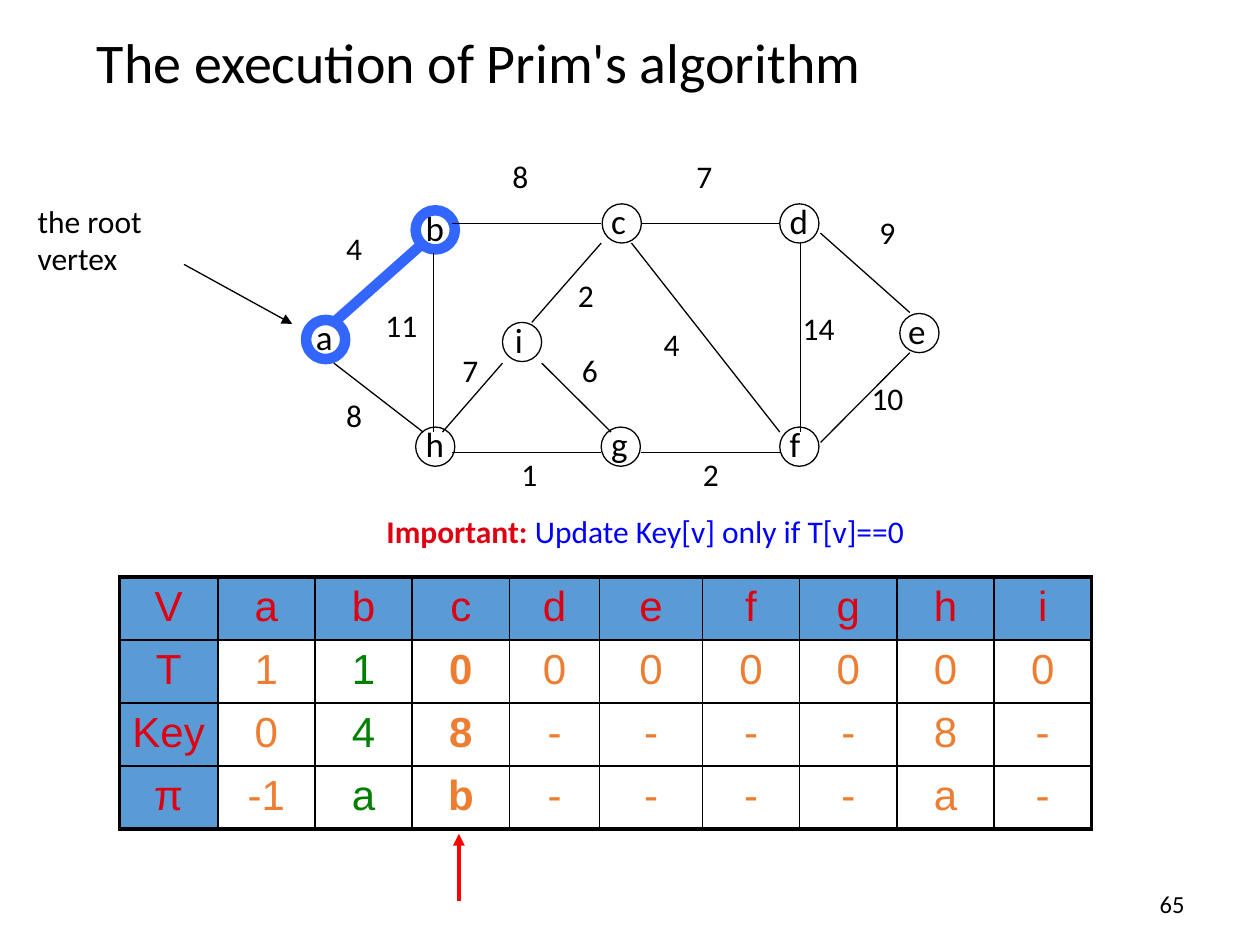
import pptx
import pptx.dml.color
import pptx.enum.shapes
import pptx.enum.text
import pptx.oxml
import pptx.oxml.ns
import pptx.oxml.xmlchemy
import pptx.util

Cm = pptx.util.Cm
Pt = pptx.util.Pt
ALIGN = pptx.enum.text.PP_ALIGN
ANCHOR = pptx.enum.text.MSO_ANCHOR

BLACK, RED, BLUE = "000000", "DD0111", "3366FF"
ORANGE, GREEN, HEADER = "ED7D31", "008000", "5B9BD5"
ROUND = 0.79

# name, left, top, label shift, color, line width
NODES = [
    ("a", 6.17, 6.45, 0.05, BLUE, 6),
    ("b", 8.38, 4.24, 0.05, BLUE, 6),
    ("c", 12.14, 4.11, 0.07, BLACK, 0.75),
    ("d", 15.72, 4.11, 0.05, BLACK, 0.75),
    ("e", 18.14, 6.32, 0.08, BLACK, 0.75),
    ("f", 15.72, 8.61, 0.05, BLACK, 0.75),
    ("g", 12.12, 8.61, 0.05, BLACK, 0.75),
    ("h", 8.38, 8.61, 0.05, BLACK, 0.75),
    ("i", 10.13, 6.5, 0, BLACK, 0.75),
]

# start, end, weight, weight place
EDGES = [
    ((6.73, 7.32), (8.53, 8.71), "8", (6.73, 7.85)),
    ((8.74, 5.11), (8.74, 8.71), "11", (7.52, 6.05)),
    ((9.12, 4.5), (12.12, 4.5), "8", (10.08, 3.05)),
    ((9.12, 9.12), (12.12, 9.12), "1", (10.26, 9.04)),
    ((12.93, 9.12), (15.72, 9.12), "2", (13.92, 9.04)),
    ((12.73, 4.9), (15.72, 8.71), "4", (13.13, 6.43)),
    ((12.93, 4.5), (15.72, 4.5), "7", (13.79, 3.05)),
    ((16.13, 4.9), (16.13, 8.71), "14", (15.93, 6.1)),
    ((16.54, 4.7), (18.34, 6.3), "9", (17.48, 4.17)),
    ((16.54, 8.92), (18.34, 7.11), "10", (17.32, 7.52)),
    ((10.92, 7.32), (12.32, 8.71), "6", (11.48, 6.96)),
    ((8.92, 8.71), (10.13, 7.32), "7", (9.07, 6.96)),
    ((10.72, 6.5), (12.12, 4.9), "2", (11.4, 5.44)),
]
TREE = ((6.73, 6.5), (8.53, 4.9), "4", (6.73, 4.5))

ROWS = [
    ["V", *"abcdefghi"],
    ["T", *"110000000"],
    ["Key", *"048----8-"],
    ["π", "-1", *"ab----a-"],
]
WIDTHS = [1.98, 1.96, 1.96, 1.96, 1.82, 2.07, 1.96, 1.96, 1.96, 1.96]


def shade(code):
    return pptx.dml.color.RGBColor.from_string(code)


def write(para, text, size=18, color=BLACK, bold=False, font="Calibri", align=ALIGN.LEFT):
    para.alignment = align
    run = para.add_run()
    run.text = text
    run.font.name = font
    run.font.size = Pt(size)
    run.font.bold = bold
    run.font.color.rgb = shade(color)


def add_box(shapes, left, top, width, height, wrap=True):
    """Add an empty text box and return its frame."""
    frame = shapes.add_textbox(Cm(left), Cm(top), Cm(width), Cm(height)).text_frame
    frame.word_wrap = wrap
    return frame


def add_line(shapes, start, end, color=BLACK, width=0.75, arrow=False):
    kind = pptx.enum.shapes.MSO_CONNECTOR.STRAIGHT
    line = shapes.add_connector(kind, *[Cm(n) for n in (*start, *end)])
    line.line.color.rgb = shade(color)
    line.line.width = Pt(width)
    props = line._element.spPr
    if arrow:
        tail = pptx.oxml.xmlchemy.OxmlElement("a:tailEnd")
        tail.set("type", "triangle")
        props.find(pptx.oxml.ns.qn("a:ln")).append(tail)
    props.append(pptx.oxml.xmlchemy.OxmlElement("a:effectLst"))


def add_node(shapes, name, left, top, shift, color, width):
    frame = add_box(shapes, left - shift, top - 0.21, 0.91, 1.09, wrap=False)
    write(frame.paragraphs[0], name, size=20)
    kind = pptx.enum.shapes.MSO_SHAPE.OVAL
    ring = shapes.add_shape(kind, Cm(left), Cm(top), Cm(ROUND), Cm(ROUND))
    ring.shadow.inherit = False
    ring.fill.background()
    ring.line.color.rgb = shade(color)
    ring.line.width = Pt(width)


def add_edge(shapes, start, end, weight, place, **style):
    add_line(shapes, start, end, **style)
    width = 0.86 if len(weight) == 1 else 1.22
    frame = add_box(shapes, *place, width, 1.02, wrap=False)
    write(frame.paragraphs[0], weight)


def add_graph(slide):
    shapes = slide.shapes.add_group_shape().shapes
    for node in NODES:
        add_node(shapes, *node)
    add_edge(shapes, *TREE, color=BLUE, width=6)
    for edge in EDGES:
        add_edge(shapes, *edge)


def set_border(cell, side, width):
    props = cell._tc.get_or_add_tcPr()
    line = pptx.oxml.parse_xml(
        f'<a:{side} {pptx.oxml.ns.nsdecls("a")} w="{Pt(width)}"><a:solidFill>'
        f'<a:srgbClr val="{BLACK}"/></a:solidFill></a:{side}>'
    )
    props.append(line)


def fill_cell(cell, text, row, col):
    head = row == 0 or col == 0
    edges = {
        "lnL": col == 0,
        "lnR": col == len(WIDTHS) - 1,
        "lnT": row == 0,
        "lnB": row == len(ROWS) - 1,
    }
    for side, outer in edges.items():
        set_border(cell, side, 2.25 if outer else 1)
    if head:
        cell.fill.solid()
        cell.fill.fore_color.rgb = shade(HEADER)
    else:
        cell.fill.background()
    color = RED if head else GREEN if col == 2 else ORANGE
    write(cell.text_frame.paragraphs[0], text, size=24, color=color,
          bold=col == 3 and not head, font="Arial", align=ALIGN.CENTER)


def add_grid(slide):
    frame = slide.shapes.add_table(
        len(ROWS), len(WIDTHS), Cm(2.41), Cm(11.63), Cm(sum(WIDTHS)), Cm(5.08))
    table = frame.table
    table.first_row = table.horz_banding = False
    for col, width in zip(table.columns, WIDTHS):
        col.width = Cm(width)
    for row, texts in enumerate(ROWS):
        for col, text in enumerate(texts):
            fill_cell(table.cell(row, col), text, row, col)


def set_title(slide, text):
    title = slide.shapes.title
    title.left, title.top = Cm(1.7), Cm(0.43)
    title.width, title.height = Cm(21.79), Cm(1.6)
    title.text_frame.vertical_anchor = ANCHOR.TOP
    write(title.text_frame.paragraphs[0], text, size=32)


def main():
    deck = pptx.Presentation()
    deck.slide_width, deck.slide_height = Cm(25.4), Cm(19.05)
    slide = deck.slides.add_slide(deck.slide_layouts[5])
    shapes = slide.shapes
    set_title(slide, "The execution of Prim's algorithm")

    root = add_box(shapes, 0.51, 3.94, 3.4, 2.29)
    write(root.paragraphs[0], "the root vertex")
    add_line(shapes, (3.71, 5.33), (5.89, 6.53), arrow=True)

    add_grid(slide)
    add_graph(slide)
    add_line(shapes, (9.25, 18.16), (9.25, 16.81), color="FF0000", width=2.25, arrow=True)

    note = add_box(shapes, 7.54, 10.19, 17.86, 1.04).paragraphs[0]
    write(note, "Important: ", color=RED, bold=True)
    write(note, "Update Key[v] only if T[v]==0", color="0000FF")

    page = add_box(shapes, 18.21, 17.78, 5.92, 0.89)
    page.vertical_anchor = ANCHOR.MIDDLE
    write(page.paragraphs[0], "65", size=14, align=ALIGN.RIGHT)
    deck.save("out.pptx")


if __name__ == "__main__":
    main()
